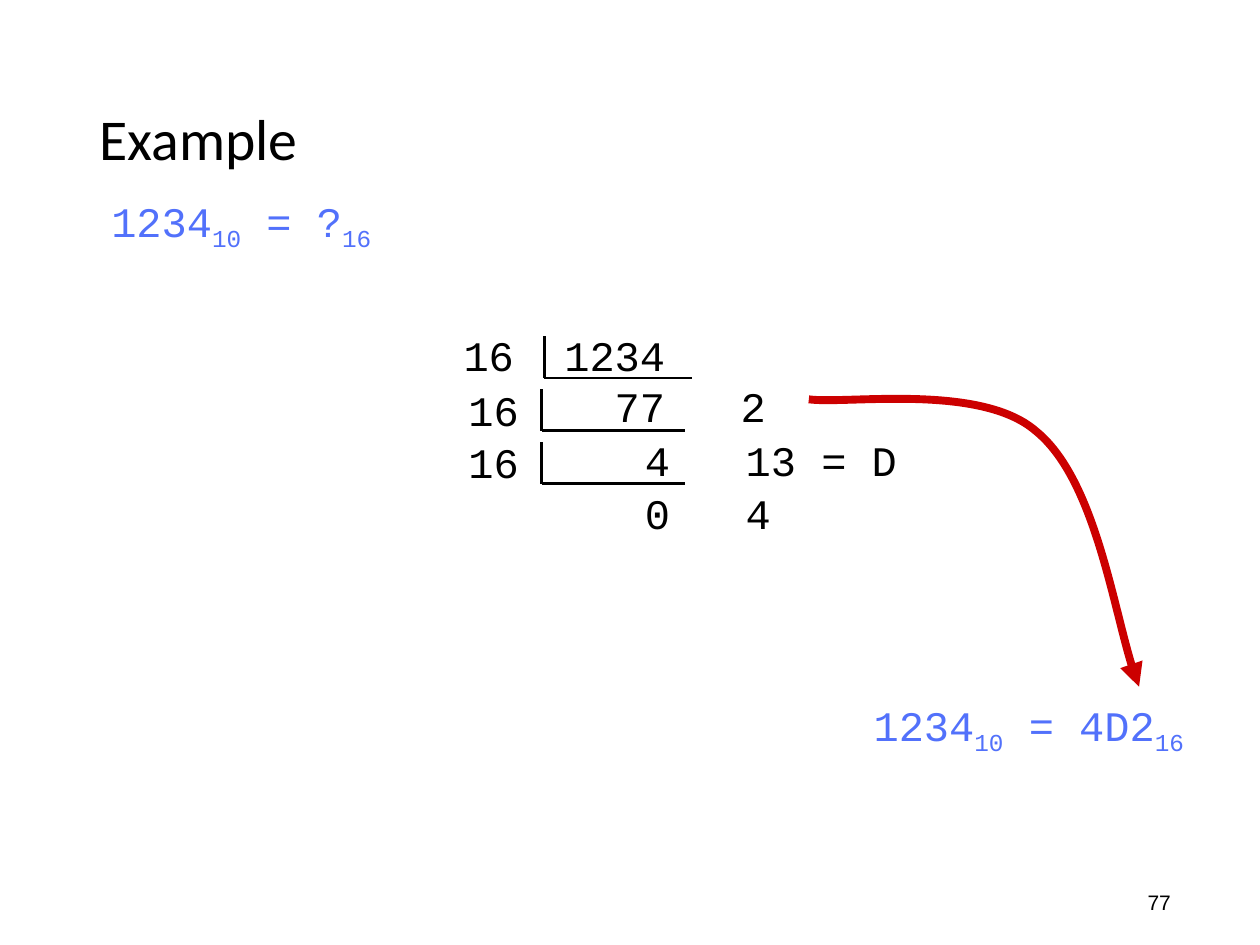
from pptx import Presentation
from pptx.dml.color import RGBColor
from pptx.enum.shapes import MSO_CONNECTOR
from pptx.enum.text import MSO_ANCHOR, MSO_AUTO_SIZE, PP_ALIGN
from pptx.oxml.ns import qn
from pptx.util import Pt
from lxml.etree import SubElement

BLACK = RGBColor(0x00, 0x00, 0x00)
BLUE = RGBColor(0x52, 0x71, 0xFB)
RED = RGBColor(0xCC, 0x00, 0x00)
MONO = "Courier New"


class SlideBuilder:
    """Holds the current slide and draws its elements; lengths in points."""

    def __init__(self, slide):
        self.s = slide

    def text(self, box, lines, font=MONO, size=24, color=BLACK, wrap=True, tabs=()):
        tb = self.s.shapes.add_textbox(*map(Pt, box))
        tf = tb.text_frame
        tf.word_wrap = wrap
        tf.auto_size = MSO_AUTO_SIZE.SHAPE_TO_FIT_TEXT
        tf.text = "\n".join(lines)
        for p in tf.paragraphs:
            if tabs:
                tab_list = SubElement(p._p.get_or_add_pPr(), qn("a:tabLst"))
                for pos, align in tabs:
                    SubElement(tab_list, qn("a:tab"), pos=str(Pt(pos)), algn=align)
            for r in p.runs:
                self.style(r, font, size, color)
        return tf

    def style(self, r, font, size, color):
        r.font.name, r.font.size = font, Pt(size)
        r.font.color.rgb = color

    def title(self, box, text):
        tf = self.text(box, [text], "Calibri", 33)
        tf.auto_size = MSO_AUTO_SIZE.NONE
        tf.vertical_anchor = MSO_ANCHOR.MIDDLE
        tf.paragraphs[0].line_spacing = 0.9

    def equation(self, box, parts):
        """Number and base alternate in parts; each base is a subscript."""
        p = self.text(box, [""]).paragraphs[0]
        p.alignment = PP_ALIGN.CENTER
        for i, part in enumerate(parts):
            r = p.add_run()
            r.text = part
            self.style(r, MONO, 24, BLUE)
            if i % 2:
                r.font._element.set("baseline", "-25000")

    def line(self, x1, y1, x2, y2):
        c = self.s.shapes.add_connector(MSO_CONNECTOR.STRAIGHT, *map(Pt, (x1, y1, x2, y2)))
        c.line.color.rgb = BLACK
        c.line.width = Pt(1.5)
        SubElement(c._element.spPr, qn("a:effectLst"))

    def division_bracket(self, x, y, width):
        bottom = y + 23.75
        self.line(x, y, x, bottom)
        self.line(x, bottom, x + width, bottom)

    def curved_arrow(self, start, points):
        """Bezier curve: points come in threes, two controls and an end."""
        fb = self.s.shapes.build_freeform(Pt(start[0]), Pt(start[1]))
        fb.add_line_segments([(Pt(x), Pt(y)) for x, y in points], close=False)
        sp = fb.convert_to_shape()
        sp.shadow.inherit = False
        sp.fill.background()
        sp.line.color.rgb = RED
        sp.line.width = Pt(4.5)
        SubElement(sp.line._get_or_add_ln(), qn("a:tailEnd"), type="triangle")
        # Turn each three straight segments into one curve
        segments = list(sp._element.iter(qn("a:lnTo")))
        for i in range(0, len(segments), 3):
            curve, *rest = segments[i:i + 3]
            bezier = SubElement(curve.getparent(), qn("a:cubicBezTo"))
            for seg in (curve, *rest):
                bezier.append(seg[0])
                seg.getparent().remove(seg)


def main():
    prs = Presentation()
    prs.slide_width, prs.slide_height = Pt(720), Pt(540)
    b = SlideBuilder(prs.slides.add_slide(prs.slide_layouts[6]))

    # Slide number, title, question and answer
    b.text((648.7, 504.7, 28.8, 21.6), ["77"], "Arial", 12, wrap=False)
    b.title((49.7, 28.8, 620.6, 104.4), "Example")
    b.equation((23.8, 108, 228.2, 36), ["1234", "10", " = ?", "16"])
    b.equation((473.8, 396, 228.2, 36), ["1234", "10", " = 4D2", "16"])

    # Arrow from the first remainder to the answer
    b.curved_arrow((462.2, 228.2), [(483.8, 231.1), (560.2, 218.9), (591.8, 246.2),
                                    (625, 272.9), (638.6, 362.2), (650.9, 392.4)])

    # Repeated division: divisor, quotient, remainder
    columns = [(115.2, "r"), (158.4, "l")]
    steps = [
        ((257.8, 185, 194.4, 64.8), ["16\t1234", "\t77\t2"], (311, 192.2, 84.2)),
        ((260.6, 216, 279.4, 64.8), ["16", "\t4\t13 = D"], (309.6, 222.4, 82.1)),
        ((260.6, 246.2, 279.4, 64.8), ["16", "\t0\t4"], (309.6, 252.6, 82.1)),
    ]
    for box, lines, bracket in steps:
        b.text(box, lines, tabs=columns)
        b.division_bracket(*bracket)

    prs.save("out.pptx")


if __name__ == "__main__":
    main()
